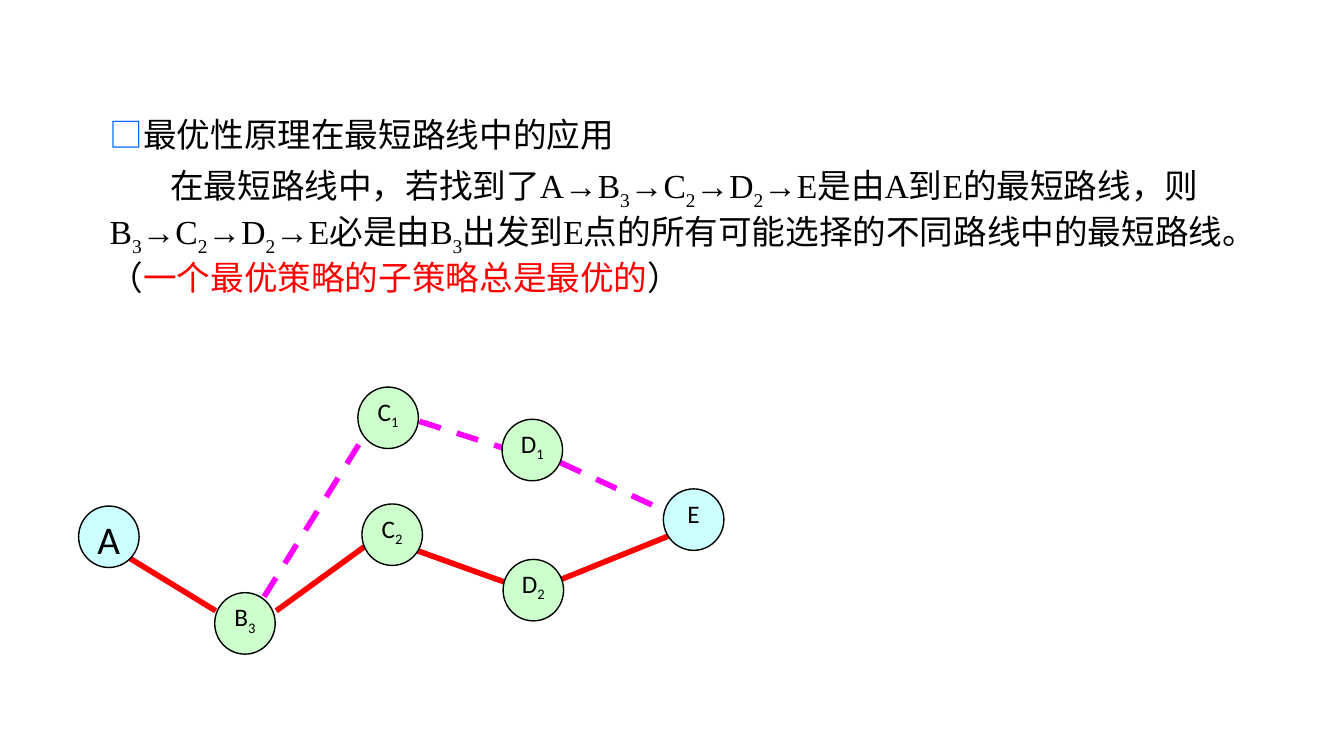
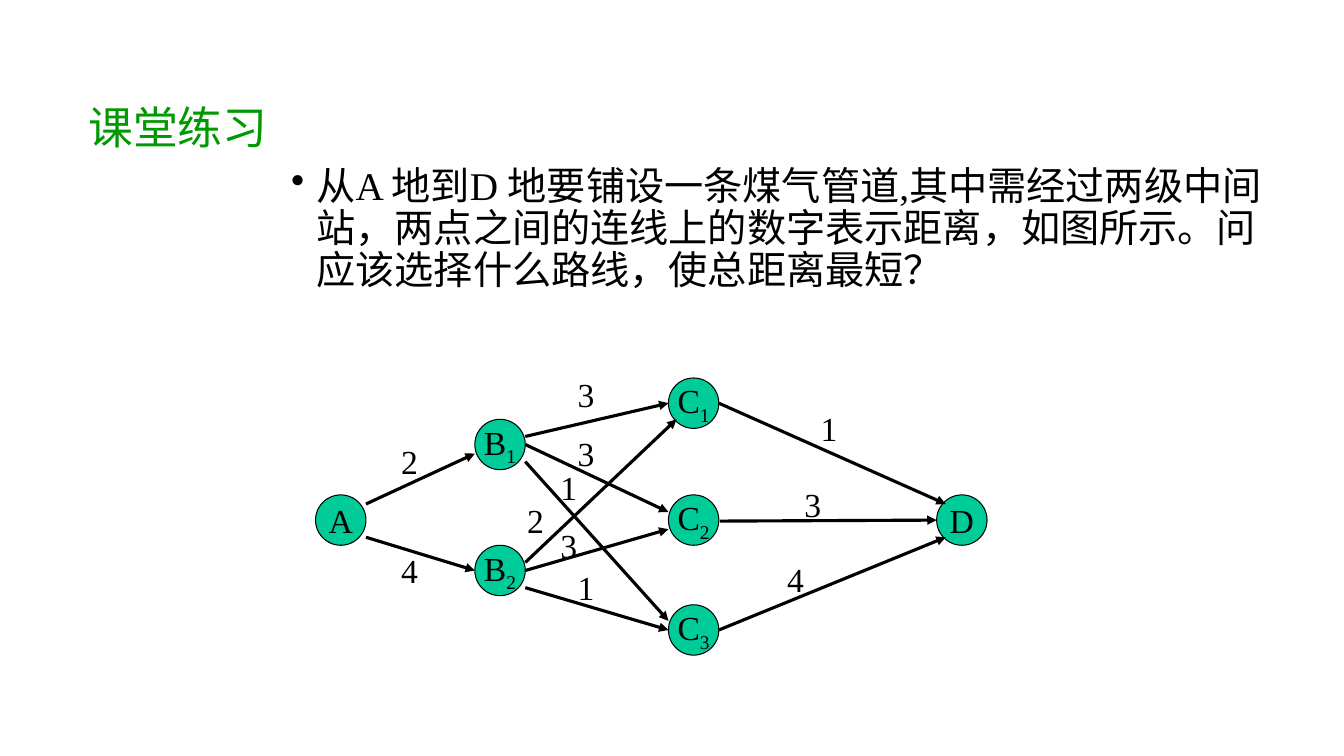
from lxml import etree
from pptx import Presentation
from pptx.dml.color import RGBColor
from pptx.enum.dml import MSO_LINE
from pptx.enum.shapes import MSO_CONNECTOR, MSO_SHAPE
from pptx.enum.text import MSO_ANCHOR, MSO_AUTO_SIZE, PP_ALIGN
from pptx.oxml.ns import qn
from pptx.util import Inches, Pt

STRAIGHT = MSO_CONNECTOR.STRAIGHT
OVAL = MSO_SHAPE.OVAL
DASH = MSO_LINE.DASH
CENTER = PP_ALIGN.CENTER
TOP, MIDDLE = MSO_ANCHOR.TOP, MSO_ANCHOR.MIDDLE
GROW = MSO_AUTO_SIZE.SHAPE_TO_FIT_TEXT

SERIF, SANS, CJK = "Times New Roman", "Calibri", "Noto Sans CJK JP"
BLACK, RED, MAGENTA, BLUE, GREEN = "000000", "FF0000", "FF00FF", "0066FF", "009900"
MINT, SKY, TEAL = "CCFFCC", "CCFFFF", "00CC99"


def color(value):
    return RGBColor.from_string(value)


class SlideBuilder:
    """Holds the deck, the current slide and the shared style."""

    def __init__(self):
        self.deck = Presentation()
        self.deck.slide_width = Inches(13.33)
        self.deck.slide_height = Inches(7.5)
        self.page = None

    def new_page(self):
        self.page = self.deck.slides.add_slide(self.deck.slide_layouts[6])

    def fill_para(self, para, spans, size, font=SERIF, ink=BLACK):
        """Spans are strings or (string, colour); "_" lowers the next character."""
        para.font.size = Pt(size)
        para.font.name = font
        para.font.color.rgb = color(ink)
        for span in spans:
            text, span_ink = (span, None) if isinstance(span, str) else span
            first, *rest = text.split("_")
            pieces = [(first, False)]
            for part in rest:
                pieces += [(part[0], True), (part[1:], False)]
            for piece, lowered in pieces:
                if not piece:
                    continue
                run = para.add_run()
                run.text = piece
                if span_ink:
                    run.font.color.rgb = color(span_ink)
                if lowered:
                    run._r.get_or_add_rPr().set("baseline", "-25000")

    def text_box(self, left, top, width, height):
        box = self.page.shapes.add_textbox(
            Inches(left), Inches(top), Inches(width), Inches(height))
        box.text_frame.word_wrap = True
        return box.text_frame

    def indent(self, para, first, left=0, bullet=None):
        properties = para._p.get_or_add_pPr()
        properties.set("marL", str(Inches(left)))
        properties.set("indent", str(Inches(first)))
        if bullet:
            mark = etree.Element(qn("a:buChar"), char=bullet)
            defaults = properties.find(qn("a:defRPr"))
            defaults.addprevious(mark)

    def node(self, label, left, top, width, height, fill, size, font, border,
             anchor=TOP, inset=0.0, wrap=True):
        circle = self.page.shapes.add_shape(
            OVAL, Inches(left), Inches(top), Inches(width), Inches(height))
        circle.shadow.inherit = False
        circle.fill.solid()
        circle.fill.fore_color.rgb = color(fill)
        circle.line.color.rgb = color(BLACK)
        circle.line.width = Pt(border)
        frame = circle.text_frame
        frame.word_wrap = wrap
        frame.vertical_anchor = anchor
        frame.margin_left = frame.margin_right = Inches(inset)
        frame.margin_top = frame.margin_bottom = Inches(inset / 2)
        para = frame.paragraphs[0]
        para.alignment = CENTER
        self.fill_para(para, [label], size, font)

    def edge(self, start, end, ink, width, dash=None, arrow=False):
        line = self.page.shapes.add_connector(
            STRAIGHT, *(Inches(value) for value in (*start, *end)))
        line.line.color.rgb = color(ink)
        line.line.width = Pt(width)
        if dash:
            line.line.dash_style = dash
        if arrow:
            outline = line._element.spPr.find(qn("a:ln"))
            etree.SubElement(outline, qn("a:tailEnd"), type="triangle")
        etree.SubElement(line._element.spPr, qn("a:effectLst"))

    def weight(self, value, left, top):
        frame = self.text_box(left, top, 0.37, 0.5)
        frame.auto_size = GROW
        self.fill_para(frame.paragraphs[0], [str(value)], 24)


def principle_page(builder):
    builder.new_page()

    # Routes: the shortest one is solid, the alternative dashed
    shortest = [((1.24, 5.51), (2.14, 6.06)), ((2.74, 6.06), (3.62, 5.42)),
                ((4.13, 5.46), (5.02, 5.78)), ((5.56, 5.75), (6.65, 5.31))]
    alternative = [((2.62, 5.92), (3.64, 4.28)), ((4.16, 4.18), (4.98, 4.44)),
                   ((5.56, 4.59), (6.62, 5.08))]
    for route, ink, dash in ((shortest, RED, None), (alternative, MAGENTA, DASH)):
        for start, end in route:
            builder.edge(start, end, ink, 4, dash)

    # Stations
    stations = [("A", 0.78, 5.02, SKY, 28), ("B_3", 2.13, 5.88, MINT, 18),
                ("C_1", 3.55, 3.84, MINT, 18), ("C_2", 3.59, 5, MINT, 18),
                ("D_1", 4.98, 4.16, MINT, 18), ("D_2", 4.99, 5.55, MINT, 18),
                ("E", 6.58, 4.85, SKY, 18)]
    for label, left, top, fill, size in stations:
        builder.node(label, left, top, 0.6, 0.61, fill, size, SANS, 1)

    # Explanation
    frame = builder.text_box(0.99, 1.08, 11.8, 2.43)
    builder.fill_para(frame.paragraphs[0],
                      [("□", BLUE), "最优性原理在最短路线中的应用"], 24)
    para = frame.add_paragraph()
    para.space_before = Pt(8)
    builder.fill_para(para, [
        "在最短路线中，若找到了A→B_3→C_2→D_2→E是由A到E的最短路线，则"
        "B_3→C_2→D_2→E必是由B_3出发到E点的所有可能选择的不同路线中的最短路线。（",
        ("一个最优策略的子策略总是最优的", RED), "）"], 24)
    builder.indent(para, 0.6)


def exercise_page(builder):
    builder.new_page()

    # Title
    title = builder.text_box(0.4, 1, 2.73, 0.67).paragraphs[0]
    title.alignment = CENTER
    title.line_spacing = 0.9
    builder.fill_para(title, ["课堂练习"], 32, CJK, GREEN)

    # Stations, one column per stage
    stages = [(3.13, {"A": 4.91}), (4.71, {"B_1": 4.16, "B_2": 5.41}),
              (6.63, {"C_1": 3.75, "C_2": 4.91, "C_3": 6}), (9.29, {"D": 4.91})]
    for left, stations in stages:
        for label, top in stations.items():
            builder.node(label, left, top, 0.5, 0.5, TEAL, 24, SERIF, 0.75,
                         MIDDLE, 0.1, False)

    # Pipes: start, end, distance, place of the distance
    pipes = [((3.63, 5), (4.71, 4.5), 2, (3.88, 4.33)),
             ((3.63, 5.33), (4.71, 5.66), 4, (3.88, 5.41)),
             ((5.21, 4.33), (6.63, 4), 3, (5.63, 3.66)),
             ((5.21, 4.41), (6.63, 5.08), 3, (5.63, 4.25)),
             ((5.21, 4.58), (6.63, 6.16), 1, (5.46, 4.58)),
             ((5.21, 5.58), (6.71, 4.16), 2, (5.13, 4.91)),
             ((5.21, 5.66), (6.63, 5.25), 3, (5.46, 5.16)),
             ((5.21, 5.83), (6.63, 6.25), 1, (5.63, 5.58)),
             ((7.13, 4), (9.38, 5), 1, (8.04, 4)),
             ((7.14, 5.17), (9.29, 5.16), 3, (7.88, 4.75)),
             ((7.13, 6.25), (9.38, 5.33), 4, (7.71, 5.5))]
    for start, end, distance, place in pipes:
        builder.edge(start, end, BLACK, 2.25, arrow=True)
        builder.weight(distance, *place)

    # Question
    para = builder.text_box(2.79, 1.6, 10, 1.46).paragraphs[0]
    para.line_spacing = 0.9
    para.space_before = Pt(10)
    builder.fill_para(para, [
        "从A 地到D 地要铺设一条煤气管道,其中需经过两级中间站，"
        "两点之间的连线上的数字表示距离，如图所示。"
        "问应该选择什么路线，使总距离最短？"], 28)
    builder.indent(para, -0.25, 0.25, "•")


def main():
    builder = SlideBuilder()
    principle_page(builder)
    exercise_page(builder)
    builder.deck.save("out.pptx")


if __name__ == "__main__":
    main()
